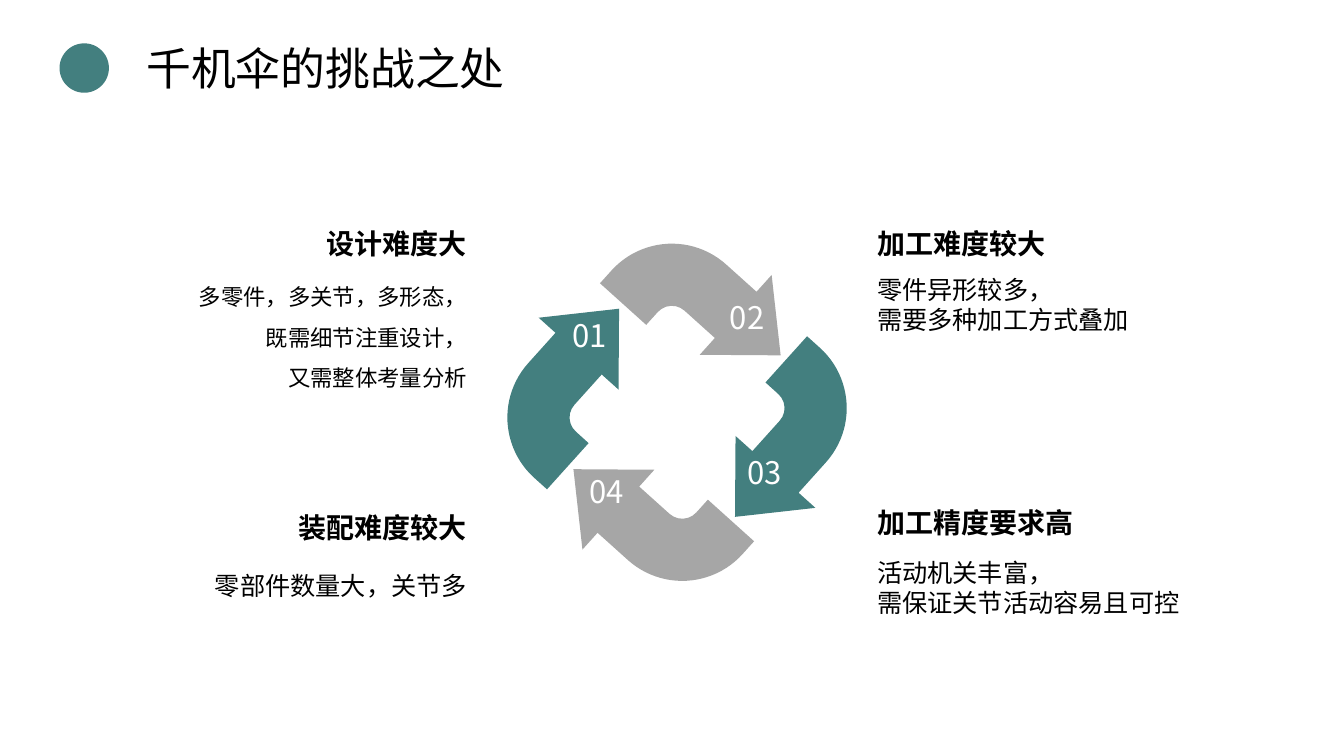
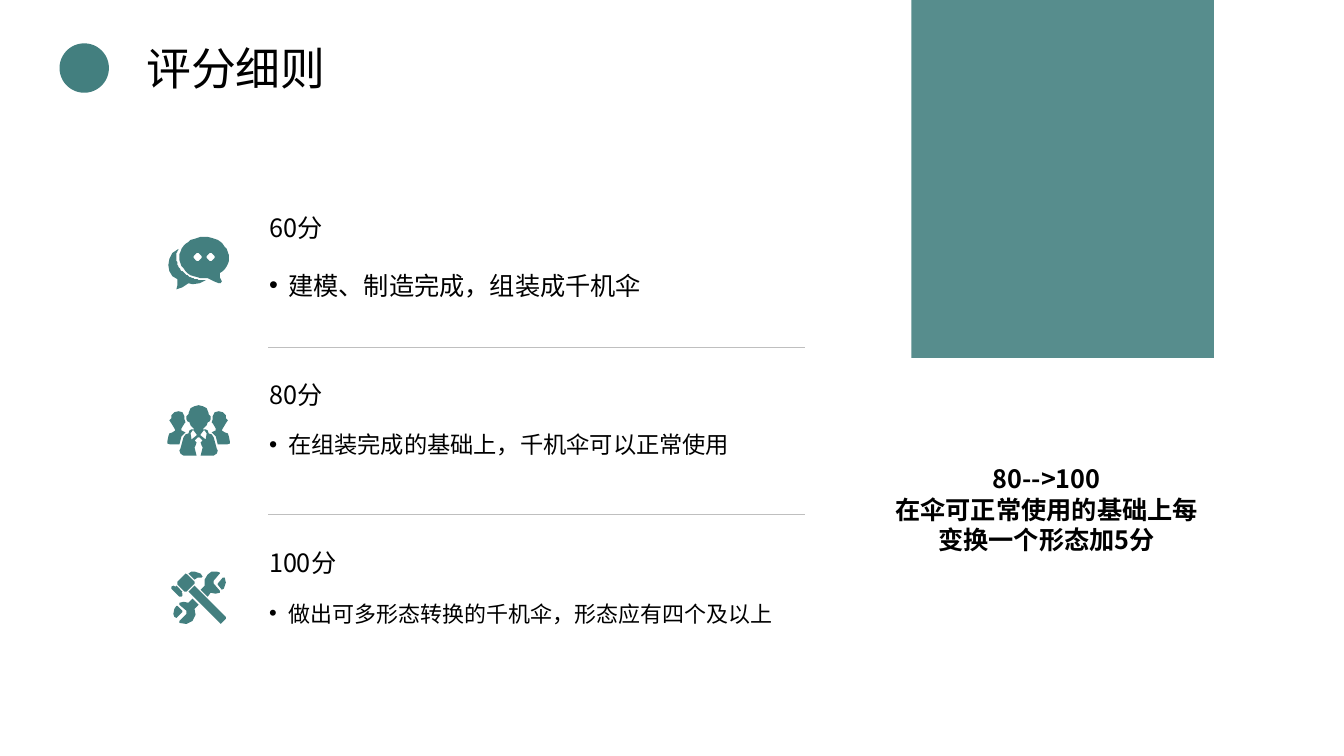
from math import cos, radians, sin

from lxml import etree
from pptx import Presentation
from pptx.dml.color import RGBColor
from pptx.enum.shapes import MSO_CONNECTOR, MSO_SHAPE
from pptx.enum.text import MSO_ANCHOR, MSO_AUTO_SIZE, PP_ALIGN
from pptx.oxml.ns import qn
from pptx.util import Inches, Pt

FONT = "Noto Sans CJK SC"
TEAL, GREY, RULE, BLACK, WHITE = "437F7F", "A6A6A6", "BFBFBF", "000000", "FFFFFF"
LEFT, CENTER, RIGHT = PP_ALIGN.LEFT, PP_ALIGN.CENTER, PP_ALIGN.RIGHT
TOP, MIDDLE = MSO_ANCHOR.TOP, MSO_ANCHOR.MIDDLE
ELLIPSE, RECT, BENT_ARROW = MSO_SHAPE.OVAL, MSO_SHAPE.RECTANGLE, MSO_SHAPE.BENT_ARROW
STRAIGHT = MSO_CONNECTOR.STRAIGHT
TITLE_ONLY = 5
UNITS_PER_INCH = 100  # icon outlines are given in hundredths of an inch
PEOPLE_AXIS = 197


def rgb(color):
    return RGBColor.from_string(color)


def paint(sp, color, alpha=None):
    """Give a shape a flat fill without line or shadow; alpha is a percentage."""
    sp.shadow.inherit = False
    sp.line.fill.background()
    sp.fill.solid()
    sp.fill.fore_color.rgb = rgb(color)
    if alpha is not None:
        clr = sp.fill._xPr.find(".//" + qn("a:srgbClr"))
        etree.SubElement(clr, qn("a:alpha"), val=str(alpha * 1000))


def add_shape(slide, kind, box, color, alpha=None):
    sp = slide.shapes.add_shape(kind, *map(Inches, box))
    paint(sp, color, alpha)
    return sp


def add_bullet(p, indent=0.19):
    pPr = p._p.get_or_add_pPr()
    pPr.set("marL", str(Inches(indent)))
    pPr.set("indent", str(-Inches(indent)))
    etree.SubElement(pPr, qn("a:buFont"), typeface="Arial")
    etree.SubElement(pPr, qn("a:buChar"), char="•")


def fill_text(sp, lines, size, color=BLACK, bold=False, align=LEFT, anchor=TOP,
              spacing=1.0, bullet=False):
    tf = sp.text_frame
    tf.word_wrap = True
    tf.auto_size = MSO_AUTO_SIZE.NONE
    tf.vertical_anchor = anchor
    tf.text = "\n".join(lines)
    for p in tf.paragraphs:
        if bullet:
            add_bullet(p)
        p.alignment = align
        p.line_spacing = spacing
        for r in p.runs:
            r.font.size = Pt(size)
            r.font.bold = bold
            r.font.name = FONT
            r.font.color.rgb = rgb(color)
            etree.SubElement(r.font._element, qn("a:ea"), typeface=FONT)


def add_text(slide, box, lines, size, **style):
    fill_text(slide.shapes.add_textbox(*map(Inches, box)), lines, size, **style)


def add_rule(slide, x1, x2, y):
    line = slide.shapes.add_connector(STRAIGHT, *map(Inches, (x1, y, x2, y)))
    line.line.color.rgb = rgb(RULE)
    line.line.width = Pt(0.25)
    etree.SubElement(line._element.spPr, qn("a:effectLst"))


def add_icon(slide, contours):
    """Draw closed outlines as one shape; inner outlines become holes."""
    first, *others = contours
    builder = slide.shapes.build_freeform(*first[0], scale=Inches(1) / UNITS_PER_INCH)
    builder.add_line_segments(first[1:], close=True)
    for points in others:
        builder.move_to(*points[0])
        builder.add_line_segments(points[1:], close=True)
    paint(builder.convert_to_shape(), TEAL)


def arc(cx, cy, rx, ry, start=0, end=360, steps=40):
    """Points on an ellipse, in degrees clockwise from the right."""
    angles = [radians(start + (end - start) * i / steps) for i in range(steps + 1)]
    return [(cx + rx * cos(a), cy + ry * sin(a)) for a in angles]


def mirror(points):
    return [(2 * PEOPLE_AXIS - x, y) for x, y in reversed(points)]


def chat_icon():
    front = arc(202.5, 255.5, 24.5, 20.5, 82, 410) + [
        (218, 275), (220, 279), (219, 281), (217, 281), (212, 279)]
    back = arc(202.5, 255.5, 27.5, 22.5, 202, 87) + [
        (198, 281), (191, 282), (187, 281), (181, 285), (175, 287), (176, 283),
        (176, 277), (171, 274), (168, 269), (167, 263), (168, 257), (171, 251)]
    return [front, back] + [arc(x, 255, 3.7, 4, steps=20) for x in (196, 209)]


def people_icon():
    half = [(197, 402), (201, 403), (205, 405), (207, 410), (207, 411), (209, 413),
            (209, 416), (208, 418), (206, 419), (205, 422), (203, 424), (201, 426),
            (204, 426), (206, 427), (207, 430), (210, 431), (212, 434), (215, 445),
            (216, 447), (215, 450), (212, 452), (199, 452), (201, 444), (200, 442),
            (199, 439), (201, 437), (198, 434)]
    lapel = [(202, 427), (199, 431), (199, 432), (204, 436), (205, 430), (203, 427)]
    neighbour = [(217, 408), (221, 409), (224, 412), (224, 415), (226, 417), (224, 420),
                 (221, 425), (220, 427), (223, 429), (226, 430), (227, 433), (228, 438),
                 (228, 440), (225, 441), (216, 441), (214, 433), (210, 429), (214, 427),
                 (214, 425), (211, 420), (210, 419), (211, 416), (211, 413), (213, 409)]
    return [half + mirror(half), lapel, mirror(lapel), neighbour, mirror(neighbour)]


def tools_icon():
    return [
        [(175, 601), (176, 601), (181, 606), (181, 607), (175, 613), (173, 612),
         (172, 609), (173, 604)],
        [(191, 594), (197, 600), (193, 604), (194, 610), (191, 616), (185, 619),
         (178, 618), (178, 616), (185, 609), (185, 606), (178, 600), (178, 598),
         (182, 597), (187, 598)],
        [(193, 581), (224, 612), (224, 614), (220, 618), (219, 619), (218, 618),
         (187, 587)],
        [(175, 581), (181, 587), (180, 588), (181, 589), (181, 591), (180, 592),
         (178, 592), (170, 584), (170, 582), (172, 581), (174, 582)],
        [(222, 573), (223, 573), (224, 578), (222, 584), (220, 585), (216, 580),
         (216, 579), (221, 573)],
        [(184, 569), (186, 570), (193, 577), (193, 579), (185, 587), (183, 587),
         (176, 580), (176, 577), (183, 570)],
        [(193, 567), (196, 568), (199, 569), (201, 572), (200, 573), (196, 573),
         (193, 575), (187, 569), (190, 567)],
        [(215, 567), (218, 568), (218, 569), (212, 576), (212, 579), (218, 586),
         (218, 588), (214, 589), (209, 588), (206, 592), (199, 585), (203, 581),
         (203, 575), (206, 570), (210, 567)],
    ]


def add_titled_slide(prs, title):
    slide = prs.slides.add_slide(prs.slide_layouts[TITLE_ONLY])
    add_shape(slide, ELLIPSE, (0.59, 0.43, 0.49, 0.49), TEAL)
    sp = slide.shapes.title
    sp.left, sp.top, sp.width, sp.height = map(Inches, (1.35, 0.35, 3.9, 0.64))
    fill_text(sp, [title], 32)
    return slide


def build_challenges(prs):
    slide = add_titled_slide(prs, "千机伞的挑战之处")
    arrows = [  # arrow left, top, turn, colour; number, its left, top
        (6.12, 2.37, 42, GREY, "02", 7.12, 2.91),
        (6.94, 3.81, 132, TEAL, "03", 7.29, 4.45),
        (5.5, 4.61, 222, GREY, "04", 5.73, 4.64),
        (4.68, 3.18, 312, TEAL, "01", 5.56, 3.09),
    ]
    for x, y, turn, color, number, number_x, number_y in arrows:
        sp = add_shape(slide, BENT_ARROW, (x, y, 1.81, 1.2), color)
        sp.rotation = turn
        for i, value in enumerate((0.514, 0.444, 0.5, 0.671)):
            sp.adjustments[i] = value
        add_text(slide, (number_x, number_y, 0.58, 0.5), [number], 22.2,
                 color=WHITE, align=CENTER)

    left_x, right_x, width = 1.44, 8.6, 3.29
    challenges = [  # left, align, heading top, heading spacing, heading, body top, size, spacing, body
        (left_x, RIGHT, 2.2, 1, "设计难度大", 2.63, 16, 1.5,
         ["多零件，多关节，多形态，", "既需细节注重设计，", "又需整体考量分析"]),
        (left_x, RIGHT, 4.85, 1.5, "装配难度较大", 5.61, 18, 1, ["零部件数量大，关节多"]),
        (right_x, LEFT, 2.03, 1.5, "加工难度较大", 2.67, 18, 1,
         ["零件异形较多，", "需要多种加工方式叠加"]),
        (right_x, LEFT, 4.8, 1.5, "加工精度要求高", 5.48, 18, 1,
         ["活动机关丰富，", "需保证关节活动容易且可控"]),
    ]
    for x, align, head_y, head_spacing, heading, body_y, size, spacing, body in challenges:
        add_text(slide, (x, head_y, width, 0.61), [heading], 20, bold=True,
                 align=align, spacing=head_spacing)
        height = 1.29 if len(body) > 2 else 0.68
        add_text(slide, (x, body_y, width, height), body, size, align=align, spacing=spacing)


def build_scoring(prs):
    slide = add_titled_slide(prs, "评分细则")
    add_shape(slide, RECT, (9.04, 0, 3, 3.55), TEAL, alpha=89)
    add_text(slide, (8.72, 4.14, 3.32, 1.82),
             ["80-->100", "在伞可正常使用的基础上每变换一个形态加5分"], 18,
             bold=True, align=CENTER, anchor=MIDDLE)

    scores = [
        ("60分", "建模、制造完成，组装成千机伞", 18, 1.5, chat_icon()),
        ("80分", "在组装完成的基础上，千机伞可以正常使用", 16.6, 1.3, people_icon()),
        ("100分", "做出可多形态转换的千机伞，形态应有四个及以上", 15.7, 1.4, tools_icon()),
    ]
    x, top, pitch, width = 2.57, 2.03, 1.66, 5.41
    for i, (score, rule, size, spacing, icon) in enumerate(scores):
        y = top + i * pitch
        add_icon(slide, icon)
        add_text(slide, (x, y, width, 0.45), [score], 18, anchor=MIDDLE)
        add_text(slide, (x, y + 0.45, width, 0.7), [rule], size, spacing=spacing, bullet=True)
        if i:
            add_rule(slide, 2.66, 7.98, y - 0.25)


def main():
    prs = Presentation()
    prs.slide_width, prs.slide_height = Inches(13.33), Inches(7.5)
    build_challenges(prs)
    build_scoring(prs)
    prs.save("out.pptx")


if __name__ == "__main__":
    main()
